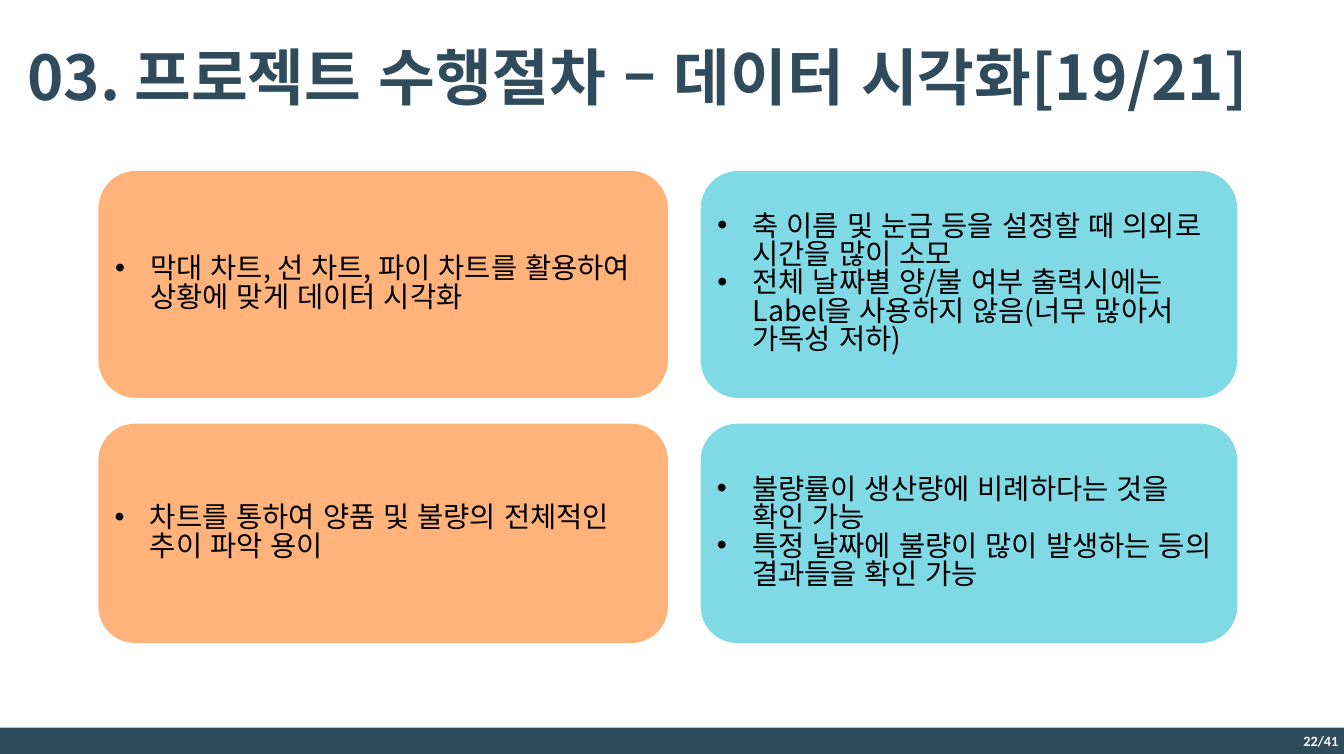
from itertools import product

from lxml import etree
from pptx import Presentation
from pptx import util as u
from pptx.dml.color import RGBColor
from pptx.enum import lang, shapes, text
from pptx.oxml.ns import qn

COLORS = {"navy": "2F4B5C", "orange": "FFB279", "cyan": "80DAE5",
          "white": "FFFFFF", "black": "000000"}
KOREAN_FONT = "Noto Sans CJK KR"
WIDTH, HEIGHT = 59.94, 33.63


def write(frame, content, size, color, font=KOREAN_FONT, bold=False,
          align=text.PP_ALIGN.LEFT, anchor=text.MSO_ANCHOR.MIDDLE,
          bullet_indent=None, line_spacing=None):
    frame.word_wrap = True
    frame.vertical_anchor = anchor
    for index, line in enumerate(content):
        paragraph = frame.paragraphs[0] if index == 0 else frame.add_paragraph()
        paragraph.alignment = align
        if line_spacing:
            paragraph.line_spacing = line_spacing
        if bullet_indent:
            props = paragraph._p.get_or_add_pPr()
            props.set("marL", str(u.Cm(bullet_indent)))
            props.set("indent", str(-u.Cm(bullet_indent)))
            etree.SubElement(props, qn("a:buFont")).set("typeface", "Arial")
            etree.SubElement(props, qn("a:buChar")).set("char", "•")
        run = paragraph.add_run()
        run.text = line
        run.font.size = u.Pt(size)
        run.font.bold = bold
        run.font.name = font
        run.font.language_id = lang.MSO_LANGUAGE_ID.KOREAN
        run.font.color.rgb = RGBColor.from_string(COLORS[color])
        etree.SubElement(run._r.get_or_add_rPr(), qn("a:ea")).set("typeface", font)


class ProjectSlide:
    def __init__(self, deck):
        self.slide = deck.slides.add_slide(deck.slide_layouts[6])

    def block(self, kind, left, top, width, height, color):
        block = self.slide.shapes.add_shape(
            kind, u.Cm(left), u.Cm(top), u.Cm(width), u.Cm(height))
        block.shadow.inherit = False
        block.fill.solid()
        block.fill.fore_color.rgb = RGBColor.from_string(COLORS[color])
        block.line.fill.background()
        return block.text_frame

    def title(self, content):
        frame = self.slide.shapes.add_textbox(
            u.Cm(0), u.Cm(1.73), u.Cm(59.84), u.Cm(3.33)).text_frame
        frame.margin_top = frame.margin_right = frame.margin_bottom = 0
        frame.margin_left = u.Cm(1.23)
        write(frame, [content], 78, "navy", bold=True, anchor=text.MSO_ANCHOR.TOP)

    def card(self, left, top, width, height, color, points):
        frame = self.block(shapes.MSO_SHAPE.ROUNDED_RECTANGLE,
                           left, top, width, height, color)
        write(frame, points, 36, "black", bullet_indent=1.57, line_spacing=0.83)

    def footer(self, page, height=1.17):
        frame = self.block(shapes.MSO_SHAPE.RECTANGLE,
                           0, HEIGHT - height, WIDTH, height, "navy")
        write(frame, [page], 18, "white", font="Calibri", bold=True,
              align=text.PP_ALIGN.RIGHT)


def main():
    deck = Presentation()
    deck.slide_width, deck.slide_height = u.Cm(WIDTH), u.Cm(HEIGHT)
    slide = ProjectSlide(deck)
    slide.footer("22/41")
    slide.title("03. 프로젝트 수행절차 – 데이터 시각화[19/21]")

    rows = [(7.62, 10.13), (18.9, 9.78)]
    columns = [(4.39, 25.4, "orange"), (31.25, 23.93, "cyan")]
    findings = [
        ["막대 차트, 선 차트, 파이 차트를 활용하여 상황에 맞게 데이터 시각화"],
        ["축 이름 및 눈금 등을 설정할 때 의외로 시간을 많이 소모",
         "전체 날짜별 양/불 여부 출력시에는 Label을 사용하지 않음(너무 많아서 가독성 저하)"],
        ["차트를 통하여 양품 및 불량의 전체적인 추이 파악 용이"],
        ["불량률이 생산량에 비례하다는 것을 확인 가능",
         "특정 날짜에 불량이 많이 발생하는 등의 결과들을 확인 가능"],
    ]
    for ((top, height), (left, width, color)), points in zip(
            product(rows, columns), findings):
        slide.card(left, top, width, height, color, points)
    deck.save("out.pptx")


if __name__ == "__main__":
    main()
